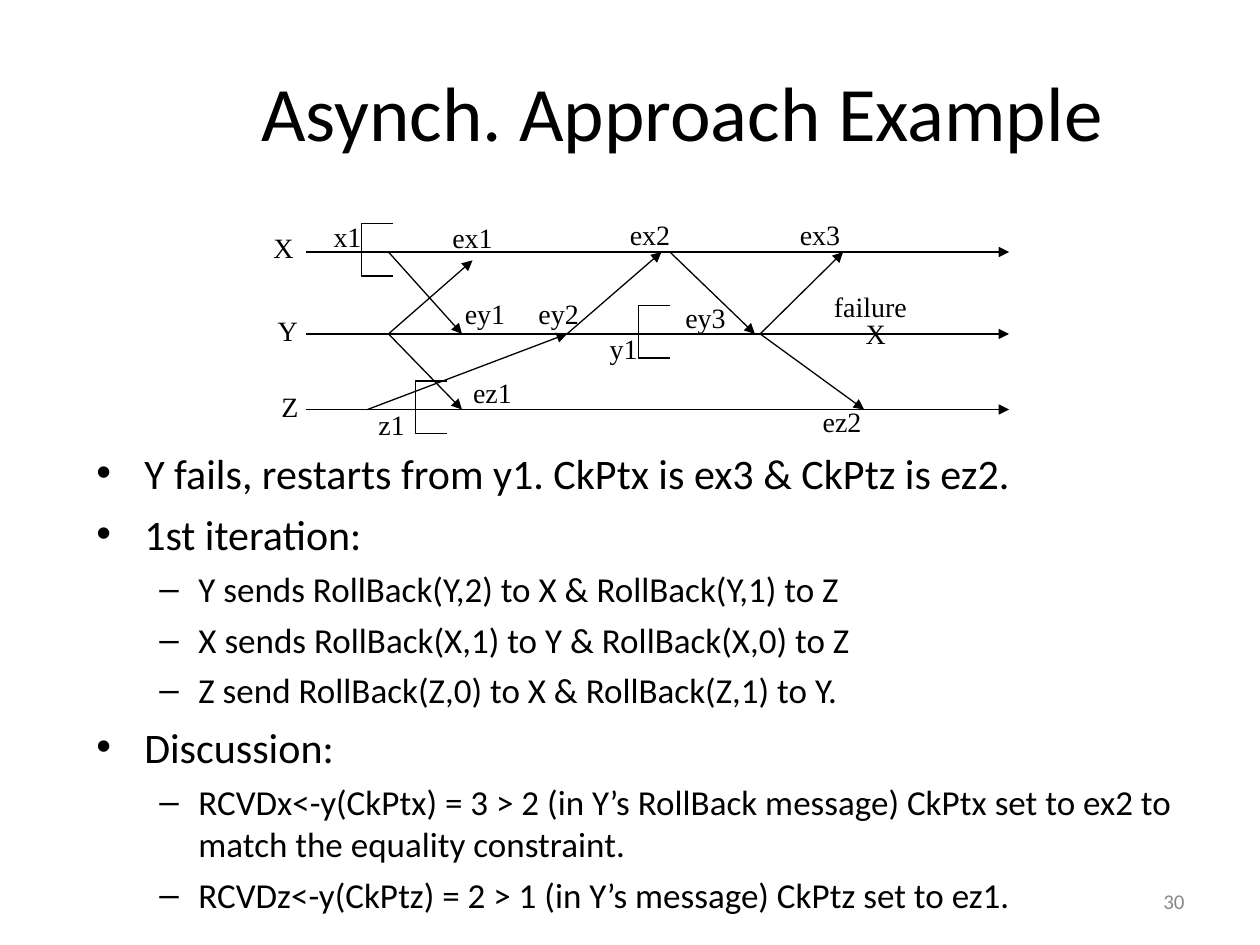
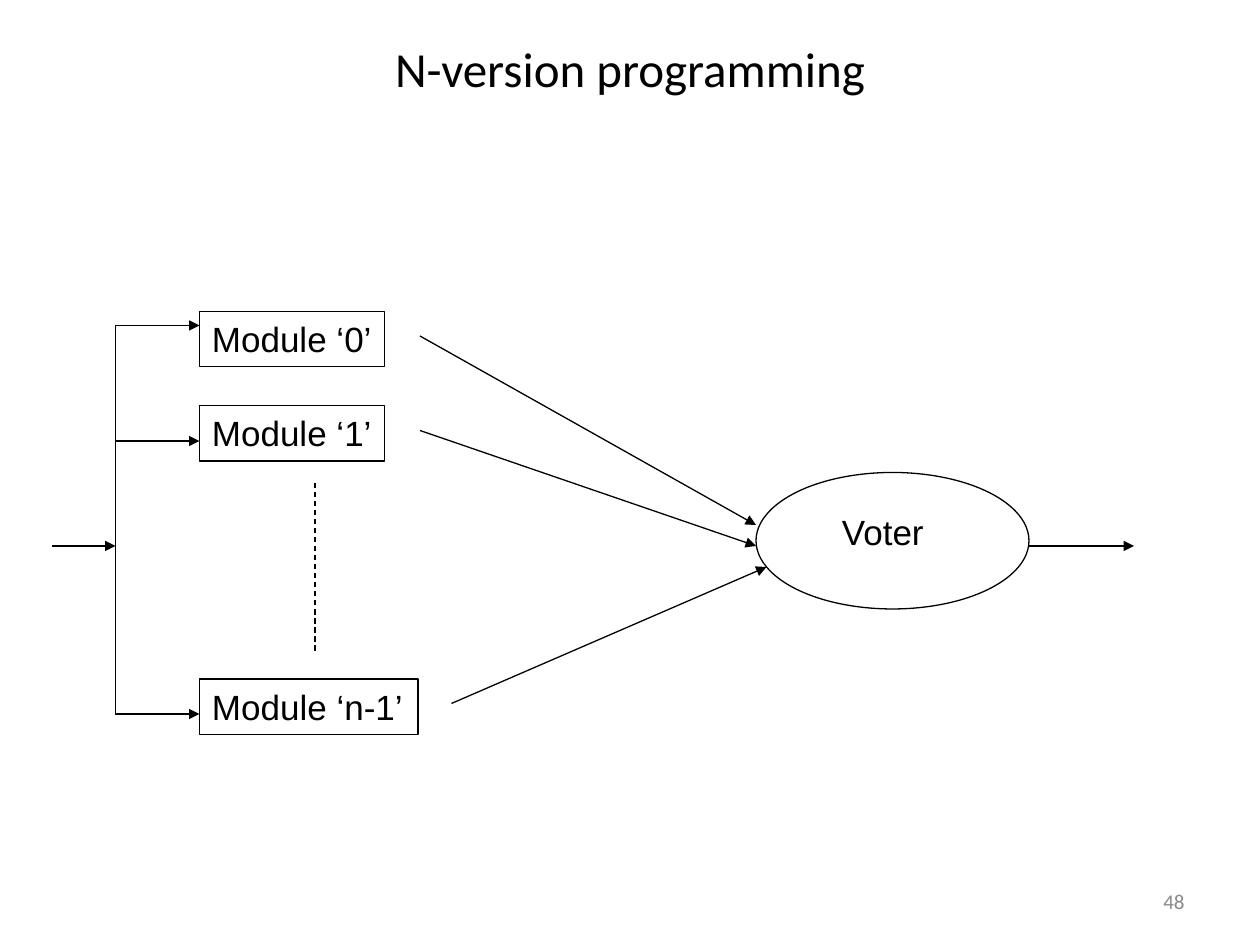
from dataclasses import dataclass

from lxml import etree
from pptx import Presentation
from pptx.dml.color import RGBColor
from pptx.enum.dml import MSO_LINE
from pptx.enum.shapes import MSO_CONNECTOR, MSO_SHAPE
from pptx.enum.text import MSO_ANCHOR, MSO_AUTO_SIZE, PP_ALIGN
from pptx.oxml.ns import qn
from pptx.util import Inches, Pt

STRAIGHT = MSO_CONNECTOR.STRAIGHT
RECT, OVAL = MSO_SHAPE.RECTANGLE, MSO_SHAPE.OVAL
DASH = MSO_LINE.DASH
TOP, MIDDLE = MSO_ANCHOR.TOP, MSO_ANCHOR.MIDDLE
LEFT, CENTER, RIGHT = PP_ALIGN.LEFT, PP_ALIGN.CENTER, PP_ALIGN.RIGHT


@dataclass(frozen=True)
class Style:
    font: str
    size: int
    color: str = "000000"


class Theme:
    ink = "000000"
    stroke = 0.75
    title = Style("Calibri", 44)
    small_title = Style("Calibri", 28)
    page = Style("Calibri", 12, "898989")
    points = (Style("Calibri", 24), Style("Calibri", 20))
    event = Style("Times New Roman", 16)
    module = Style("Arial", 20)


COLUMNS, ROWS = 120, 90
CELL = Inches(10) // COLUMNS
PAGE_BOX = (86, 83.4, 28, 4.8)

ROLLBACK = {
    "title": "Asynch. Approach Example",
    "title_box": (14, 3, 102, 15),
    "page": "30",
    "points_box": (8, 42, 106, 46),
    "points": [
        (0, "Y fails, restarts from y1. CkPtx is ex3 & CkPtz is ez2."),
        (0, "1st iteration:"),
        (1, "Y sends RollBack(Y,2) to X & RollBack(Y,1) to Z"),
        (1, "X sends RollBack(X,1) to Y & RollBack(X,0) to Z"),
        (1, "Z send RollBack(Z,0) to X & RollBack(Z,1) to Y."),
        (0, "Discussion:"),
        (1, "RCVDx<-y(CkPtx) = 3 > 2 (in Y’s RollBack message) CkPtx set to "
            "ex2 to match the equality constraint."),
        (1, "RCVDz<-y(CkPtz) = 2 > 1 (in Y’s message) CkPtz set to ez1."),
    ],
    "lanes": {"X": 24, "Y": 31.8, "Z": 39},
    "lane_span": (29.1, 96.1),
    "messages": [
        ("X", 37, "Y", 44), ("Y", 37, "X", 45), ("Y", 37, "Z", 44),
        ("Z", 35, "Y", 54), ("Y", 54, "X", 63), ("X", 63.8, "Y", 71.9),
        ("Y", 72.4, "X", 80.3), ("Y", 72.4, "Z", 82.3),
    ],
    "early_arrivals": {("X", 45): 0.8},
    "checkpoints": [("X", 34.4), ("Y", 60.8), ("Z", 39.6)],
    "labels": [
        ("X", 27, 23.6), ("Y", 27.4, 31.5), ("Z", 27.6, 38.7),
        ("ex1", 45, 22.6), ("ex2", 61.9, 22.3), ("ex3", 78.1, 22.3),
        ("ey1", 46.2, 29.8), ("ey2", 53.2, 29.8), ("ey3", 67.2, 30.2),
        ("ez1", 46.9, 37.4), ("ez2", 80.2, 40.1),
        ("x1", 33.1, 22.5), ("y1", 59.4, 33.2), ("z1", 37.3, 40.4),
        ("X", 83.4, 31.7), ("failure", 82.9, 29.2),
    ],
}

VOTING = {
    "title": "N-version programming",
    "title_box": (9, 0, 102, 13),
    "page": "48",
    "modules": [
        ("Module ‘0’", 29.64, 17.64, 31, (40, 32), (72, 50)),
        ("Module ‘1’", 38.64, 17.64, 42, (40, 41), (72, 52)),
        ("Module ‘n-1’", 64.68, 20.8, 68, (43, 67), (73, 54)),
    ],
    "module_left": 19,
    "module_height": 5.28,
    "bus": 11,
    "flow_row": 52,
    "input_start": 5,
    "output_end": 108,
    "more_modules": ((30, 46), (30, 62)),
    "voter": "Voter",
    "voter_oval": (72, 45, 26, 13),
    "voter_text": (79, 48, 13, 5.28),
}


def grid(*cells):
    return [round(cell * CELL) for cell in cells]


def color(code):
    return RGBColor.from_string(code)


def write(shape, lines, style, align=LEFT, anchor=TOP, wrap=True):
    frame = shape.text_frame
    frame.text = lines
    frame.word_wrap = wrap
    frame.vertical_anchor = anchor
    if not wrap:
        frame.auto_size = MSO_AUTO_SIZE.SHAPE_TO_FIT_TEXT
    for paragraph in frame.paragraphs:
        paragraph.alignment = align
        set_font(paragraph, style)


def set_font(paragraph, style):
    for run in paragraph.runs:
        run.font.name = style.font
        run.font.size = Pt(style.size)
        run.font.color.rgb = color(style.color)


def add_text(slide, box, text, style, **layout):
    write(slide.shapes.add_textbox(*grid(*box)), text, style, **layout)


def add_line(slide, start, end, arrow=True, dash=None):
    connector = slide.shapes.add_connector(STRAIGHT, *grid(*start, *end))
    connector.line.color.rgb = color(Theme.ink)
    connector.line.width = Pt(Theme.stroke)
    if dash:
        connector.line.dash_style = dash
    properties = connector._element.spPr
    if arrow:
        stroke = properties.find(qn("a:ln"))
        etree.SubElement(stroke, qn("a:tailEnd"), type="triangle")
    etree.SubElement(properties, qn("a:effectLst"))


def outline(shape):
    shape.shadow.inherit = False
    shape.fill.background()
    shape.line.color.rgb = color(Theme.ink)
    shape.line.width = Pt(Theme.stroke)
    return shape


def add_outlined(slide, kind, box):
    return outline(slide.shapes.add_shape(kind, *grid(*box)))


def add_checkpoint(slide, left, lane):
    right, top, bottom = left + 3, lane - 2.7, lane + 2.3
    builder = slide.shapes.build_freeform(*grid(right, top))
    corners = [(left, top), (left, bottom), (right, bottom)]
    builder.add_line_segments([grid(*corner) for corner in corners], close=False)
    outline(builder.convert_to_shape())


def add_points(slide, box, points):
    frame = slide.shapes.add_textbox(*grid(*box)).text_frame
    frame.word_wrap = True
    frame.text = "\n".join(text for _, text in points)
    levels = [("•", 0.38, -0.38, 6), ("–", 0.81, -0.31, 5)]
    for paragraph, (level, _) in zip(frame.paragraphs, points):
        mark, margin, indent, gap = levels[level]
        paragraph.level = level
        paragraph.space_before = Pt(gap)
        set_font(paragraph, Theme.points[level])
        properties = paragraph._p.get_or_add_pPr()
        properties.set("marL", str(Inches(margin)))
        properties.set("indent", str(Inches(indent)))
        etree.SubElement(properties, qn("a:buFont"), typeface="Arial")
        etree.SubElement(properties, qn("a:buChar"), char=mark)


def start_slide(deck, content, title_style):
    slide = deck.slides.add_slide(deck.slide_layouts[6])
    add_text(slide, PAGE_BOX, content["page"], Theme.page, align=RIGHT, anchor=MIDDLE)
    add_text(slide, content["title_box"], content["title"], title_style,
             align=CENTER, anchor=MIDDLE)
    return slide


def build_rollback(deck, content):
    slide = start_slide(deck, content, Theme.title)
    add_points(slide, content["points_box"], content["points"])
    lanes = content["lanes"]
    first, last = content["lane_span"]
    for row in lanes.values():
        add_line(slide, (first, row), (last, row))
    for sender, sent, receiver, received in content["messages"]:
        early = content["early_arrivals"].get((receiver, received), 0)
        add_line(slide, (sent, lanes[sender]), (received, lanes[receiver] + early))
    for lane, left in content["checkpoints"]:
        add_checkpoint(slide, left, lanes[lane])
    for text, middle, row in content["labels"]:
        width, height = 3.4 + 1.3 * len(text), 4.44
        box = (middle - width / 2, row - height / 2, width, height)
        add_text(slide, box, text, Theme.event, align=CENTER, anchor=MIDDLE, wrap=False)


def build_voting(deck, content):
    slide = start_slide(deck, content, Theme.small_title)
    bus, left, flow = content["bus"], content["module_left"], content["flow_row"]
    feeds = [module[3] for module in content["modules"]]
    add_line(slide, (bus, min(feeds)), (bus, max(feeds)), arrow=False)
    add_line(slide, (content["input_start"], flow), (bus, flow))
    for text, top, width, feed, result, vote in content["modules"]:
        box = (left, top, width, content["module_height"])
        write(add_outlined(slide, RECT, box), text, Theme.module, wrap=False)
        add_line(slide, (bus, feed), (left, feed))
        add_line(slide, result, vote)
    add_line(slide, *content["more_modules"], arrow=False, dash=DASH)
    oval = content["voter_oval"]
    add_outlined(slide, OVAL, oval)
    add_text(slide, content["voter_text"], content["voter"], Theme.module)
    add_line(slide, (oval[0] + oval[2], flow), (content["output_end"], flow))


def main():
    deck = Presentation()
    deck.slide_width, deck.slide_height = grid(COLUMNS, ROWS)
    build_rollback(deck, ROLLBACK)
    build_voting(deck, VOTING)
    deck.save("out.pptx")


if __name__ == "__main__":
    main()
